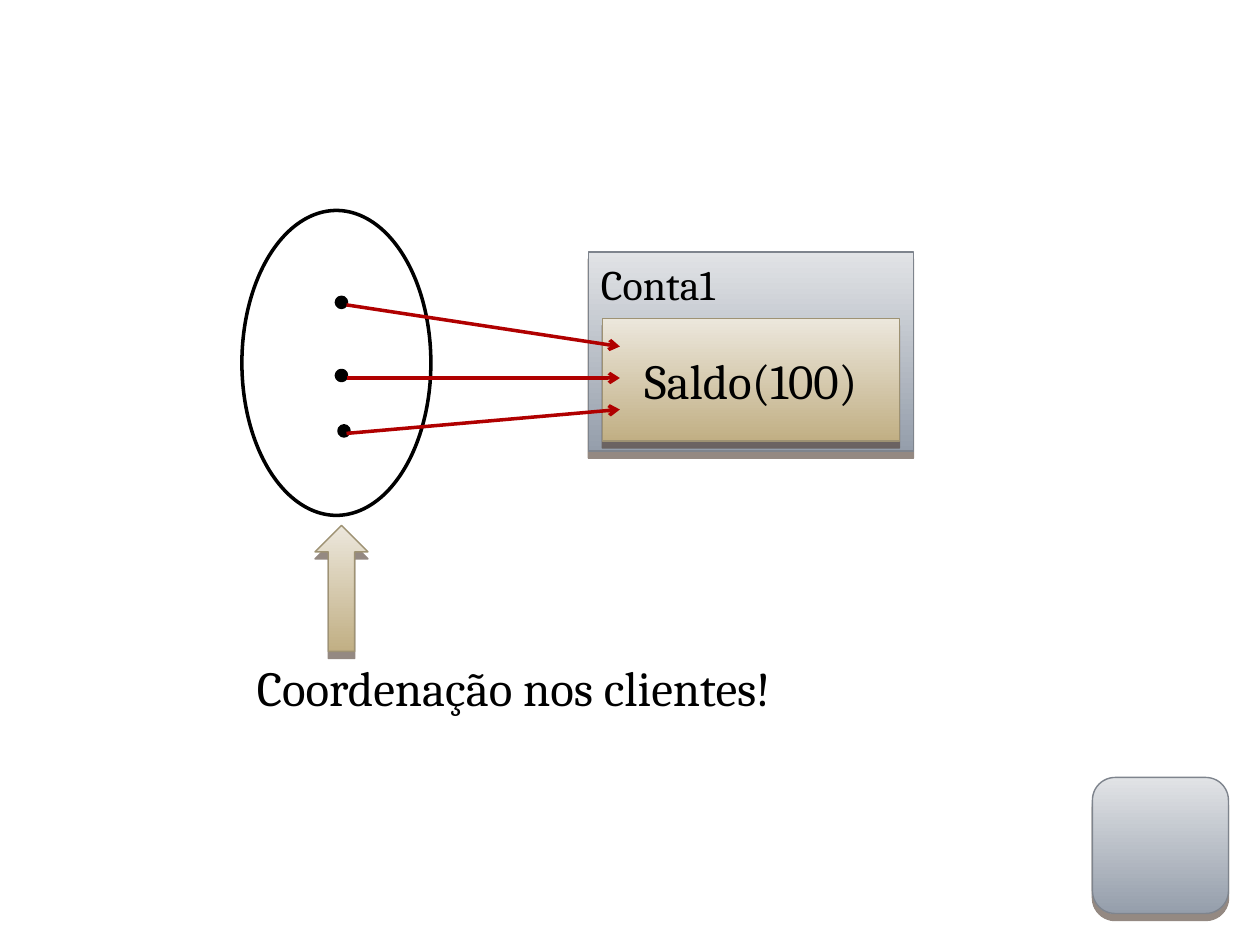
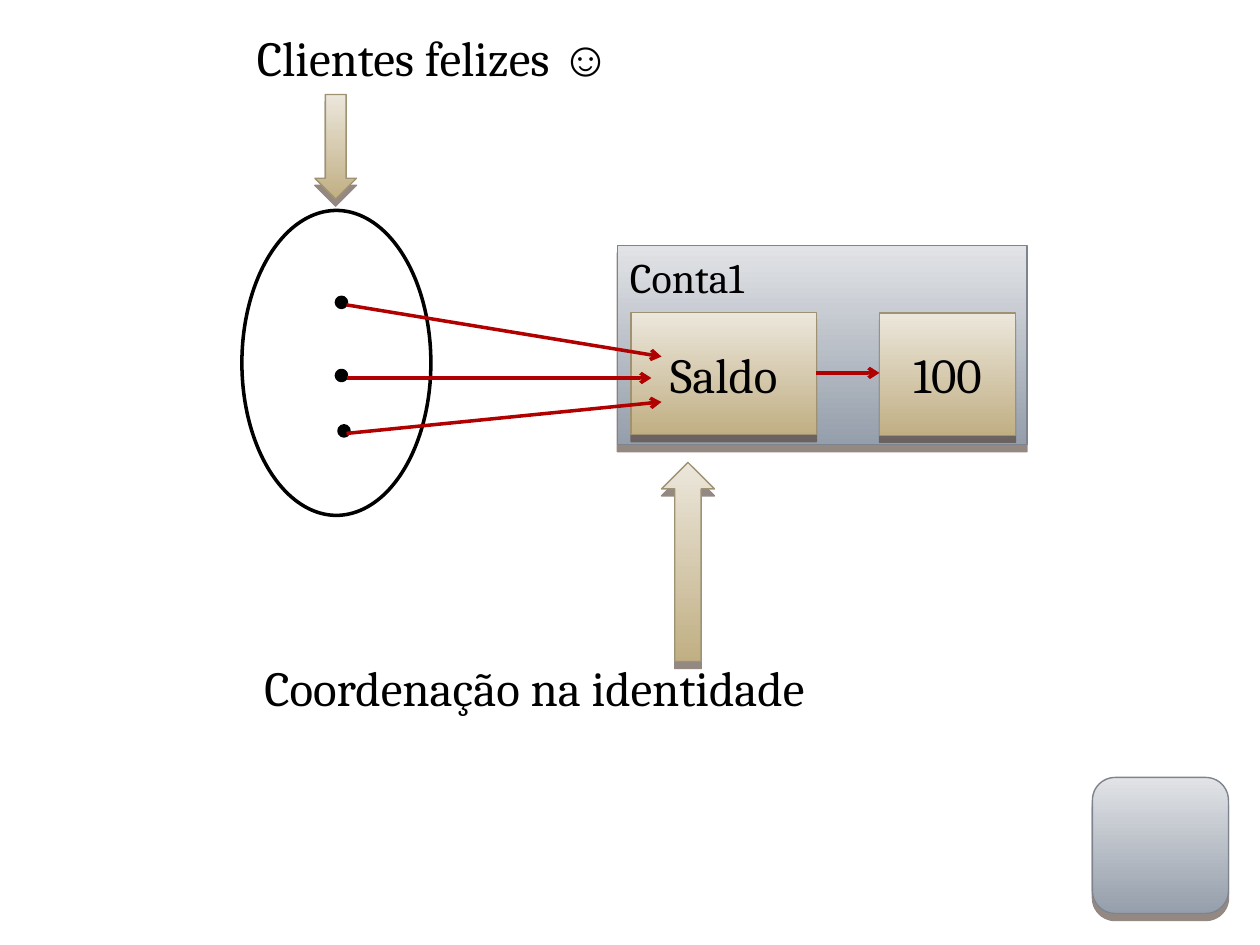
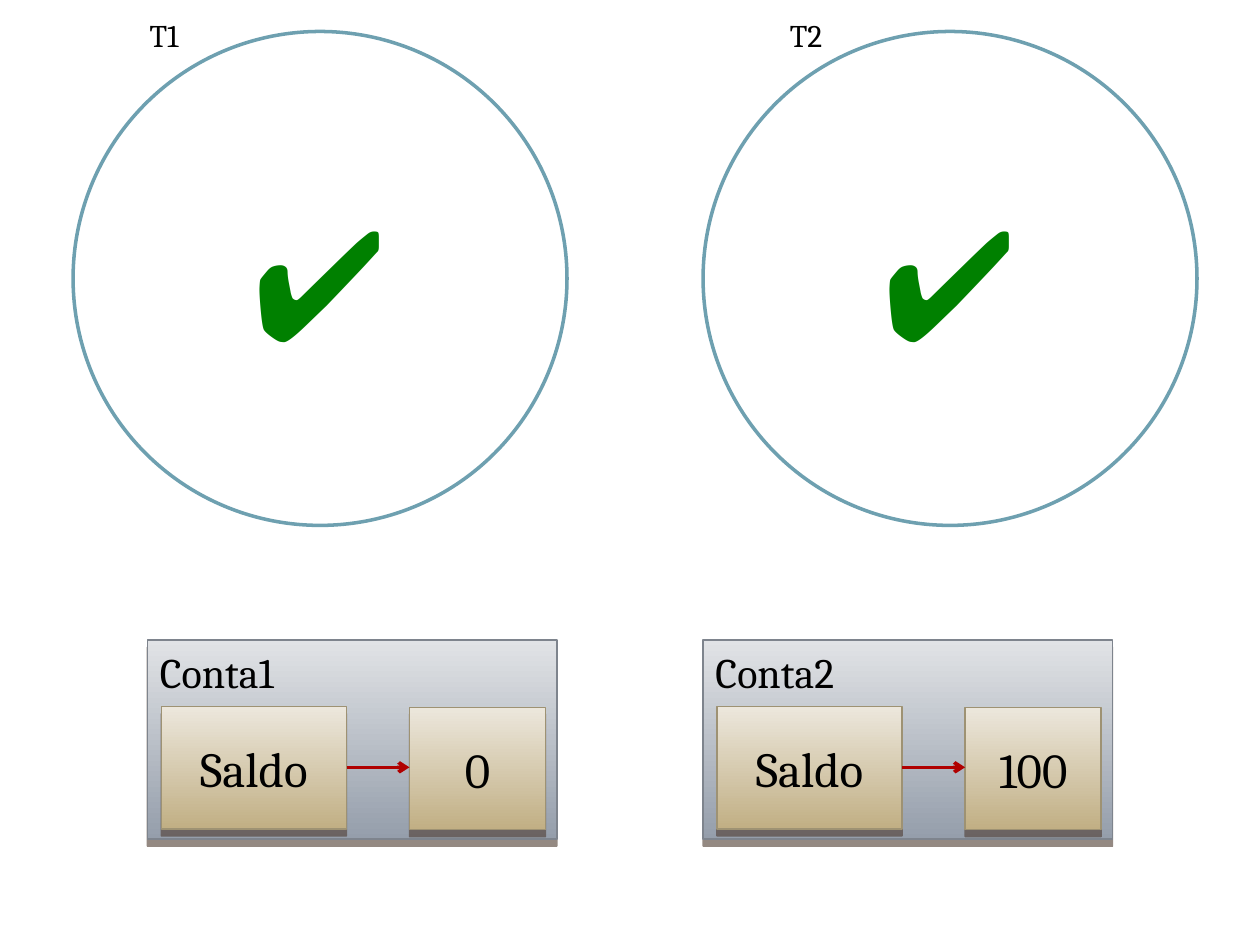
import pptx
import pptx.util
import pptx.dml.color
import pptx.enum.shapes
import pptx.enum.text
import pptx.oxml
import pptx.oxml.ns
from lxml import etree

Inches = pptx.util.Inches
Pt = pptx.util.Pt
KIND = pptx.enum.shapes.MSO_SHAPE
ALIGN = pptx.enum.text.PP_ALIGN
ANCHOR = pptx.enum.text.MSO_ANCHOR
FIT = pptx.enum.text.MSO_AUTO_SIZE
qn = pptx.oxml.ns.qn

FONT = "Cambria"
SIGN = "Arial"
BLACK = "000000"
WHITE = "FFFFFF"
RED = "B00000"
GREEN = "008000"
TEAL = "6EA0B0"
SHADE = "4E3B30"
STEEL = ("E1E3E6", "959EAB", "7E848D")
SAND = ("ECE7DC", "C1AF84", "9E9273")

DOTS = [(2.67, 2.36), (2.67, 2.94), (2.69, 3.38)]
STARTS = [(2.75, 2.42), (2.75, 3), (2.75, 3.44)]


def color(code):
    return pptx.dml.color.RGBColor.from_string(code)


def style(run, size, font=FONT, code=BLACK):
    run.font.size = Pt(size)
    run.font.name = font
    run.font.color.rgb = color(code)


def write(shape, text, size, font=FONT, code=BLACK, mid=True):
    frame = shape.text_frame
    frame.text = text
    frame.vertical_anchor = ANCHOR.MIDDLE if mid else ANCHOR.TOP
    para = frame.paragraphs[0]
    para.alignment = ALIGN.CENTER if mid else ALIGN.LEFT
    style(para.runs[0], size, font, code)


def outline(shape, code, width):
    shape.line.color.rgb = color(code)
    shape.line.width = Pt(width)


def add_flat(slide, kind, box, fill, line):
    shape = slide.shapes.add_shape(kind, *map(Inches, box))
    shape.shadow.inherit = False
    shape.fill.solid()
    shape.fill.fore_color.rgb = color(fill)
    outline(shape, line, 2)
    return shape


def add_block(slide, kind, box, tone):
    shape = slide.shapes.add_shape(kind, *map(Inches, box))
    light, dark, edge = tone
    shape.fill.gradient()
    shape.fill.gradient_angle = 270
    for stop, code in zip(shape.fill.gradient_stops, (light, dark)):
        stop.color.rgb = color(code)
    outline(shape, edge, 0.79)
    shape.shadow.inherit = False
    effects = shape.element.spPr.find(qn("a:effectLst"))
    drop = etree.SubElement(effects, qn("a:outerShdw"), blurRad="0",
                            dist=str(Pt(4)), dir="5400000", rotWithShape="0")
    tint = etree.SubElement(drop, qn("a:srgbClr"), val=SHADE)
    etree.SubElement(tint, qn("a:alpha"), val="60000")
    return shape


def add_arrow(slide, start, end):
    ends = map(Inches, (*start, *end))
    link = slide.shapes.add_connector(
        pptx.enum.shapes.MSO_CONNECTOR.STRAIGHT, *ends)
    outline(link, RED, 2)
    etree.SubElement(link.line._get_or_add_ln(), qn("a:tailEnd"), type="arrow")
    etree.SubElement(link.element.spPr, qn("a:effectLst"))


def add_label(slide, box, text, size, sign=""):
    label = slide.shapes.add_textbox(*map(Inches, box))
    write(label, text, size, mid=False)
    label.text_frame.word_wrap = False
    label.text_frame.auto_size = FIT.SHAPE_TO_FIT_TEXT
    if sign:
        run = label.text_frame.paragraphs[0].add_run()
        run.text = sign
        style(run, size, SIGN)


def add_cell(slide, left, top, width, text):
    cell = add_block(slide, KIND.RECTANGLE, (left, top, width, 0.97), SAND)
    write(cell, text, 28)


def add_frame(slide, left, top, width, name):
    frame = add_block(slide, KIND.RECTANGLE, (left, top, width, 1.58), STEEL)
    write(frame, name, 24, mid=False)


def add_account(slide, left, top, name, value):
    add_frame(slide, left, top, 3.25, name)
    add_cell(slide, left + 0.11, top + 0.53, 1.47, "Saldo")
    add_cell(slide, left + 2.08, top + 0.535, 1.08, value)
    row = top + 1.01
    add_arrow(slide, (left + 1.58, row), (left + 2.08, row))


def add_clients(slide, ends):
    add_flat(slide, KIND.OVAL, (1.92, 1.67, 1.5, 2.42), WHITE, BLACK)
    for left, top in DOTS:
        add_flat(slide, KIND.OVAL, (left, top, 0.08, 0.08), BLACK, BLACK)
    for start, end in zip(STARTS, ends):
        add_arrow(slide, start, end)


def add_button(slide):
    add_block(slide, KIND.ROUNDED_RECTANGLE, (8.67, 6.17, 1.08, 1.08), STEEL)


def add_task(slide, left, name, start):
    ring = add_flat(slide, KIND.OVAL, (left, 0.25, 3.92, 3.92), WHITE, TEAL)
    write(ring, "✔", 88, SIGN, GREEN)
    add_label(slide, (start, 0.08, 0.5, 0.4), name, 18)


def draw_client(slide):
    add_button(slide)
    add_frame(slide, 4.67, 2, 2.58, "Conta1")
    add_cell(slide, 4.78, 2.53, 2.36, "Saldo(100)")
    add_clients(slide, [(4.92, 2.75), (4.92, 3), (4.92, 3.25)])
    add_label(slide, (1.94, 5.17, 4.81, 0.57), "Coordenação nos clientes!", 28)
    add_block(slide, KIND.UP_ARROW, (2.5, 4.17, 0.42, 1), SAND)


def draw_ident(slide):
    add_account(slide, 4.9, 1.95, "Conta1", "100")
    add_button(slide)
    add_clients(slide, [(5.25, 2.83), (5.17, 3), (5.25, 3.19)])
    add_label(slide, (2, 5.17, 5.07, 0.57), "Coordenação na identidade", 28)
    add_block(slide, KIND.UP_ARROW, (5.25, 3.67, 0.42, 1.58), SAND)
    add_label(slide, (1.94, 0.17, 3.35, 0.57), "Clientes felizes ", 28, "☺")
    add_block(slide, KIND.DOWN_ARROW, (2.5, 0.75, 0.33, 0.83), SAND)


def draw_tasks(slide):
    add_task(slide, 5.58, "T2", 6.17)
    add_task(slide, 0.58, "T1", 1.09)
    add_account(slide, 1.17, 5.08, "Conta1", "0")
    add_account(slide, 5.58, 5.08, "Conta2", "100")


def main():
    deck = pptx.Presentation()
    deck.slide_width = Inches(10)
    deck.slide_height = Inches(7.5)
    for draw in (draw_client, draw_ident, draw_tasks):
        draw(deck.slides.add_slide(deck.slide_layouts[6]))
    deck.save("out.pptx")


if __name__ == "__main__":
    main()
